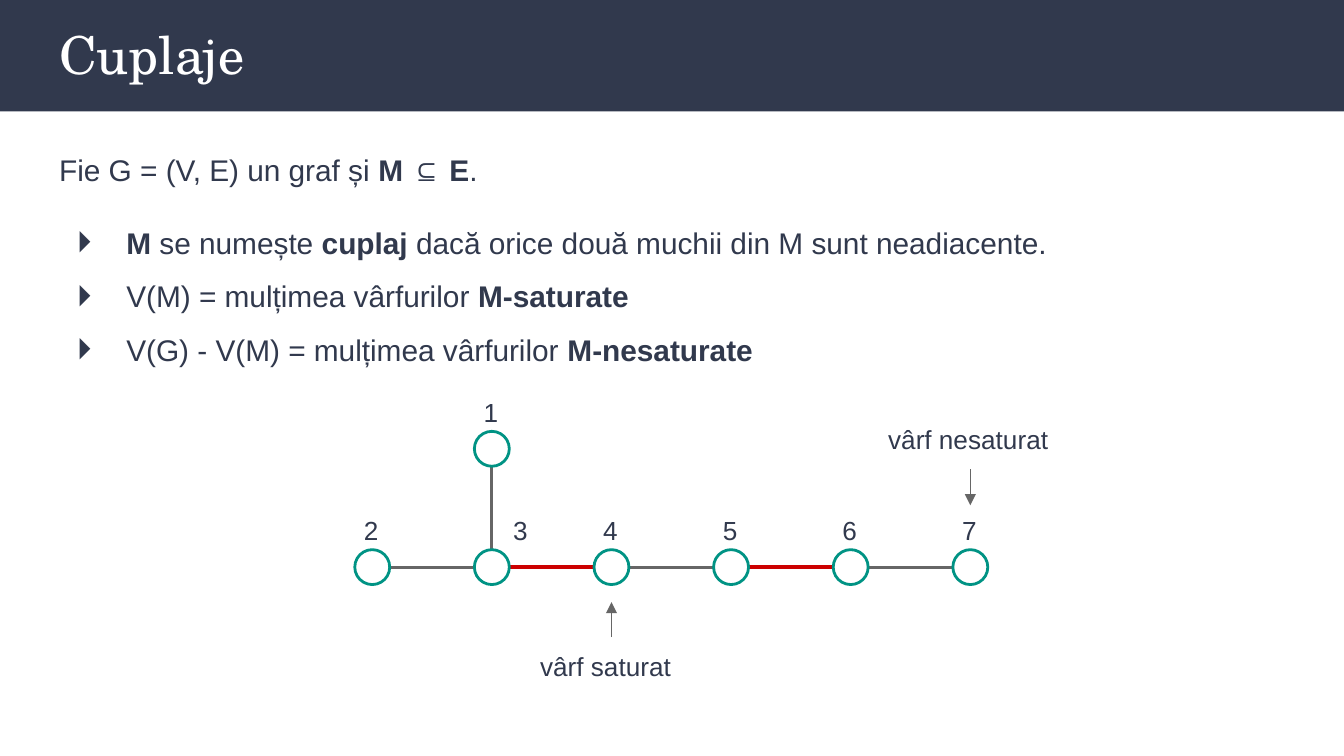
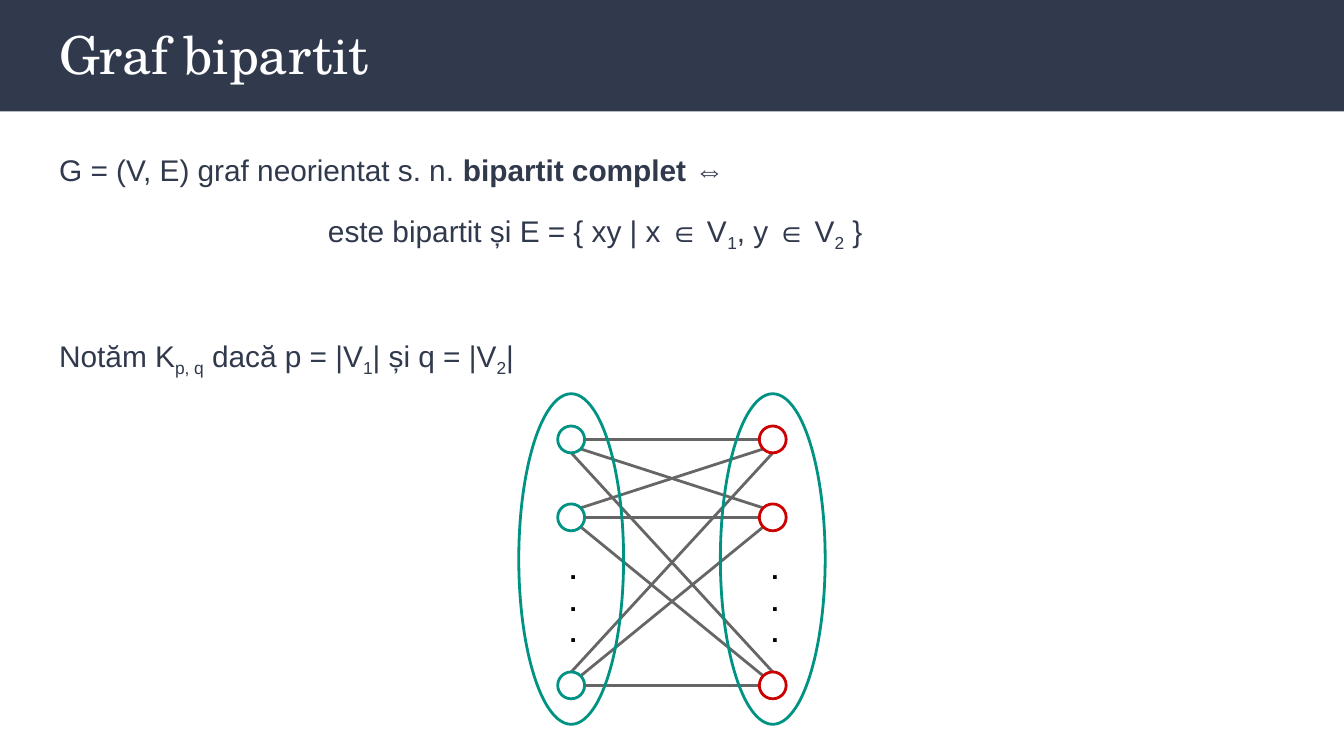
"""Build two slides on graph matchings and complete bipartite graphs."""
from math import atan2, cos, pi, sin

from lxml.etree import SubElement
from pptx import Presentation
from pptx.dml.color import RGBColor
from pptx.enum.shapes import MSO_CONNECTOR, MSO_SHAPE
from pptx.enum.text import MSO_ANCHOR, MSO_AUTO_SIZE, PP_ALIGN
from pptx.oxml.ns import qn
from pptx.util import Inches, Pt

COLORS = {"navy": "31394D", "white": "FFFFFF", "teal": "009384",
          "red": "CC0000", "gray": "666666", "black": "000000"}
BODY_FONT, TITLE_FONT = "Arial", "TeX Gyre Schola"
MARGIN, BAND_HEIGHT, INSET = 0.34, 0.83, 0.1


def add_span(para, text, size, color="navy", style="", font=BODY_FONT):
    span = para.add_run()
    span.text = text
    span.font.size = Pt(size)
    span.font.name = font
    span.font.bold = style == "bold"
    span.font.color.rgb = RGBColor.from_string(COLORS[color])
    if style == "sub":
        span._r.get_or_add_rPr().set("baseline", "-25000")


def add_line(shapes, start, end, color="gray", width=1.5, arrow=False):
    line = shapes.add_connector(MSO_CONNECTOR.STRAIGHT, *map(Inches, start + end))
    line.line.color.rgb = RGBColor.from_string(COLORS[color])
    line.line.width = Pt(width)
    if arrow:
        SubElement(line.line._get_or_add_ln(), qn("a:tailEnd"), type="triangle")
    SubElement(line.element.spPr, qn("a:effectLst"))


deck = Presentation()
deck.slide_width, deck.slide_height = Inches(10), Inches(5.625)
layout = deck.slide_layouts[1]

CONTENT = [
    ("Cuplaje", [
        (1.15, 0, 0, False, [("Fie G = (V, E) un graf și ", ""), ("M ⊆ E", "bold"), (".", "")]),
        (1.5, 10, 0.5, True, [("M", "bold"), (" se numește ", ""), ("cuplaj", "bold"),
                              (" dacă orice două muchii din M sunt neadiacente.", "")]),
        (1.5, 0, 0.5, True, [("V(M) = mulțimea vârfurilor ", ""), ("M-saturate", "bold")]),
        (1.5, 0, 0.5, True, [("V(G) - V(M) = mulțimea vârfurilor ", ""),
                             ("M-nesaturate", "bold")]),
    ]),
    ("Graf bipartit", [
        (1.15, 0, 0, False, [("G = (V, E) graf neorientat s. n. ", ""),
                             ("bipartit complet", "bold"), (" ⇔", "")]),
        (1.15, 10, 2, False, [("este bipartit și E = { xy | x ∈ V", ""), ("1", "sub"),
                              (", y ∈ V", ""), ("2", "sub"), (" }", "")]),
        (1.15, 42, 0, False, [("Notăm K", ""), ("p, q", "sub"), (" dacă p = |V", ""),
                              ("1", "sub"), ("| și q = |V", ""), ("2", "sub"), ("|", "")]),
    ]),
]

pages = []
for heading, paragraphs in CONTENT:
    page = deck.slides.add_slide(layout)
    pages.append(page)
    title, body = page.placeholders
    for box, top, height, anchor in [(title, 0.06, 0.68, MSO_ANCHOR.MIDDLE),
                                     (body, 0.99, 4.11, MSO_ANCHOR.TOP)]:
        box.left, box.top = Inches(MARGIN), Inches(top)
        box.width, box.height = deck.slide_width - 2 * Inches(MARGIN), Inches(height)
        frame = box.text_frame
        frame.margin_left = frame.margin_right = Inches(INSET)
        frame.margin_top = frame.margin_bottom = Inches(INSET)
        frame.vertical_anchor = anchor
        frame.auto_size = MSO_AUTO_SIZE.NONE
    title_para = title.text_frame.paragraphs[0]
    title_para.alignment = PP_ALIGN.LEFT
    add_span(title_para, heading, 28, "white", font=TITLE_FONT)

    for index, (spacing, before, indent, bulleted, spans) in enumerate(paragraphs):
        para = body.text_frame.add_paragraph() if index else body.text_frame.paragraphs[0]
        para.line_spacing, para.space_before = spacing, Pt(before)
        properties = para._p.get_or_add_pPr()
        properties.set("marL", str(Inches(indent)))
        properties.set("indent", str(Inches(-0.37) if bulleted else 0))
        if bulleted:
            bullet_color = SubElement(properties, qn("a:buClr"))
            SubElement(bullet_color, qn("a:srgbClr"), val=COLORS["navy"])
            SubElement(properties, qn("a:buFont"), typeface=BODY_FONT)
            SubElement(properties, qn("a:buChar"), char="⏵")
        else:
            SubElement(properties, qn("a:buNone"))
        for text, style in spans:
            add_span(para, text, 16, style=style)

band = pages[0].shapes.add_shape(MSO_SHAPE.RECTANGLE, 0, 0, deck.slide_width,
                                 Inches(BAND_HEIGHT))
band.shadow.inherit = False
band.fill.solid()
band.fill.fore_color.rgb = RGBColor.from_string(COLORS["navy"])
band.line.fill.background()
layout.element.cSld.spTree.insert(2, band.element)

matching = pages[0].shapes
columns = [2.77 + 0.89 * step for step in range(6)]
upper_row, lower_row, vertex = 3.34, 4.22, 0.26
radius = vertex / 2
vertices = [(columns[1], upper_row)] + [(column, lower_row) for column in columns]
ovals = [(matching, x, y, vertex, vertex, "teal") for x, y in vertices]
labels = [(matching, str(number), x - 0.16 + (0.22 if number == 3 else 0),
           y - 0.49, 0.4, 0.44, "navy", "")
          for number, (x, y) in enumerate(vertices, 1)]
labels += [(matching, "vârf saturat", columns[2] - 0.63, 4.74, 1.26, 0.44, "navy", ""),
           (matching, "vârf nesaturat", columns[5] - 0.71, 3.05, 1.43, 0.44, "navy", "")]

add_line(matching, (columns[1], lower_row - radius), (columns[1], upper_row + radius))
for index, (left, right) in enumerate(zip(columns, columns[1:])):
    color, width = ("red", 2.25) if index % 2 else ("gray", 1.5)
    add_line(matching, (left + radius, lower_row), (right - radius, lower_row), color, width)
add_line(matching, (columns[2], 4.74), (columns[2], 4.48), width=0.75, arrow=True)
add_line(matching, (columns[5], 3.49), (columns[5], 3.76), width=0.75, arrow=True)

bipartite = pages[1].shapes.add_group_shape().shapes
left_x, right_x, node = 4.25, 5.75, 0.2
rows = [3.27, 3.85, 5.1]
for x, color in [(left_x, "teal"), (right_x, "red")]:
    ovals += [(bipartite, x, y, node, node, color) for y in rows]
    ovals.append((bipartite, x, 4.16, 0.78, 2.46, "teal"))
    labels.append((bipartite, "...", x - 0.11, 4.02, 0.22, 0.91, "black", "bold"))

for start, start_y in enumerate(rows):
    for end, end_y in enumerate(rows):
        angle = (end - start) * pi / 4
        across, down = node / 2 * cos(angle), node / 2 * sin(angle)
        add_line(bipartite, (left_x + across, start_y + down),
                 (right_x - across, end_y - down))

for shapes, x, y, width, height, color in ovals:
    oval = shapes.add_shape(MSO_SHAPE.OVAL, Inches(x - width / 2), Inches(y - height / 2),
                            Inches(width), Inches(height))
    oval.shadow.inherit = False
    oval.fill.background()
    oval.line.color.rgb = RGBColor.from_string(COLORS[color])
    oval.line.width = Pt(1.5)

for shapes, text, left, top, width, height, color, style in labels:
    box = shapes.add_textbox(*map(Inches, (left, top, width, height)))
    frame = box.text_frame
    frame.word_wrap = True
    frame.margin_left = frame.margin_right = Inches(INSET)
    frame.margin_top = frame.margin_bottom = Inches(INSET)
    add_span(frame.paragraphs[0], text, 14, color, style)

deck.save("out.pptx")
